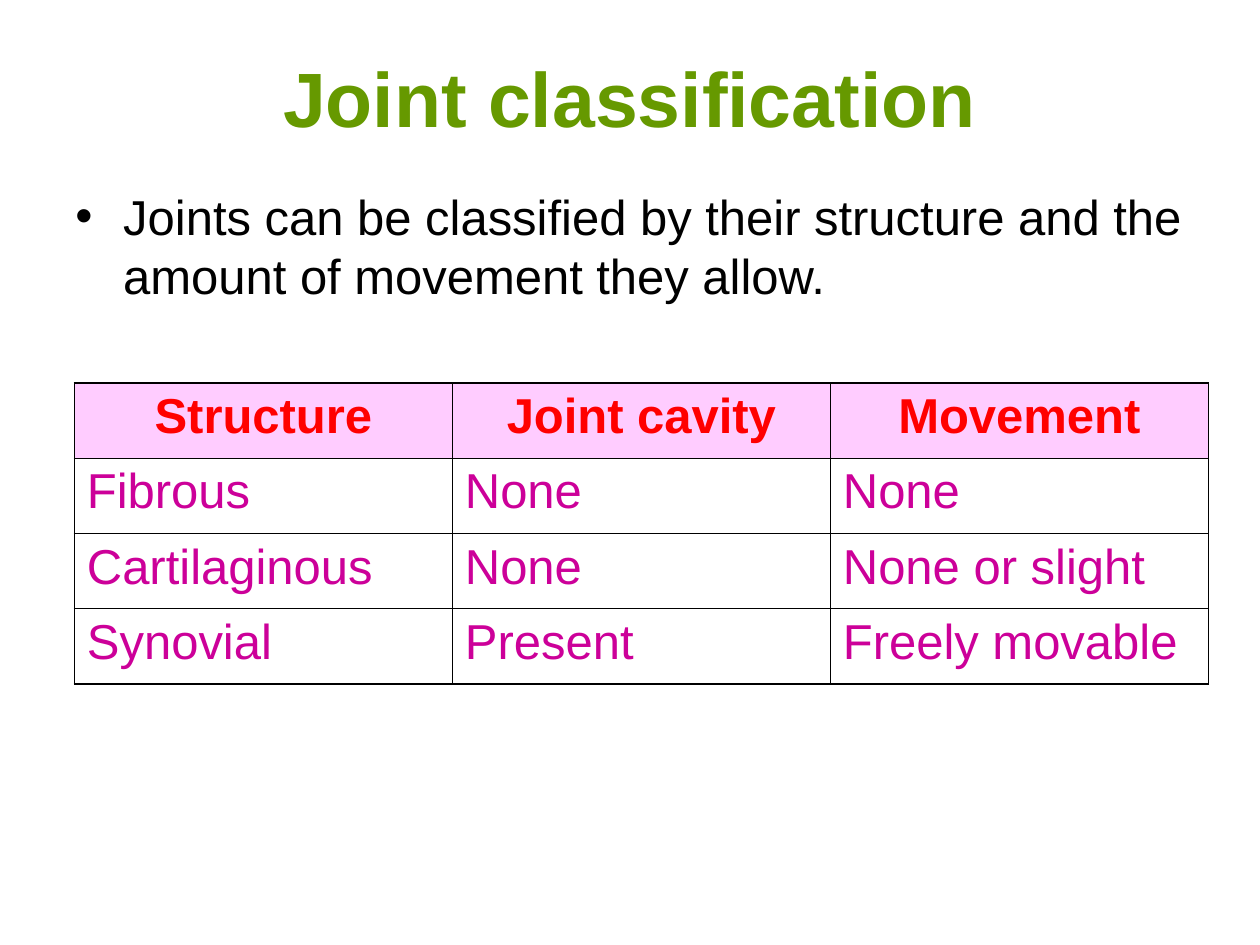
from dataclasses import dataclass

from lxml import etree
from pptx import Presentation
from pptx.dml.color import RGBColor
from pptx.enum.text import MSO_ANCHOR, PP_ALIGN
from pptx.oxml.ns import qn
from pptx.util import Inches, Pt

LEFT, CENTER = PP_ALIGN.LEFT, PP_ALIGN.CENTER
TOP, MIDDLE = MSO_ANCHOR.TOP, MSO_ANCHOR.MIDDLE


@dataclass(frozen=True)
class Theme:
    face: str = "Arial"
    green: str = "669900"
    black: str = "000000"
    red: str = "FF0000"
    pink: str = "FFCCFF"
    plum: str = "CC0099"
    large: int = 44
    body: int = 28
    thin: float = 0.45
    thick: float = 1.08


class Page:
    """Holds the theme and the slide being built."""

    def __init__(self, slide, theme):
        self.slide, self.theme = slide, theme

    def style(self, para, size, color, bold=False, align=LEFT):
        para.alignment = align
        font = para.font
        font.name, font.size, font.bold = self.theme.face, Pt(size), bold
        font.color.rgb = RGBColor.from_string(color)

    def title(self, text, left, top, width, height):
        shape = self.slide.shapes.title
        shape.left, shape.top = Inches(left), Inches(top)
        shape.width, shape.height = Inches(width), Inches(height)
        frame = shape.text_frame
        frame.text, frame.vertical_anchor = text, MIDDLE
        self.style(frame.paragraphs[0], self.theme.large, self.theme.green, True, CENTER)

    def bullet(self, text, left, top, width, height, indent):
        box = self.slide.shapes.add_textbox(
            Inches(left), Inches(top), Inches(width), Inches(height))
        frame = box.text_frame
        frame.word_wrap, frame.vertical_anchor = True, TOP
        frame.text = text
        para = frame.paragraphs[0]
        props = para._p.get_or_add_pPr()
        props.set("marL", str(Inches(indent)))
        props.set("indent", str(-Inches(indent)))
        etree.SubElement(props, qn("a:buFont"), typeface=self.theme.face)
        etree.SubElement(props, qn("a:buChar"), char="•")
        self.style(para, self.theme.body, self.theme.black)

    def border(self, cell, edges):
        """Draw the cell's sides; edges tells which lie on the table's rim."""
        props = cell._tc.get_or_add_tcPr()
        for spot, (side, outer) in enumerate(edges.items()):
            width = self.theme.thick if outer else self.theme.thin
            line = etree.Element(qn(f"a:ln{side}"), w=str(Pt(width)))
            fill = etree.SubElement(line, qn("a:solidFill"))
            etree.SubElement(fill, qn("a:srgbClr"), val=self.theme.black)
            props.insert(spot, line)

    def table(self, rows, left, top, width, height):
        theme = self.theme
        last, end = len(rows) - 1, len(rows[0]) - 1
        grid = self.slide.shapes.add_table(
            last + 1, end + 1, Inches(left), Inches(top),
            Inches(width), Inches(height)).table
        grid.horz_banding = False
        for i, row in enumerate(rows):
            head = i == 0
            for j, text in enumerate(row):
                cell = grid.cell(i, j)
                cell.text = text
                if head:
                    cell.fill.solid()
                    cell.fill.fore_color.rgb = RGBColor.from_string(theme.pink)
                else:
                    cell.fill.background()
                self.style(cell.text_frame.paragraphs[0], theme.body,
                           theme.red if head else theme.plum, head,
                           CENTER if head else LEFT)
                self.border(cell, {"L": j == 0, "R": j == end,
                                   "T": head, "B": i == last})


def main():
    deck = Presentation()
    deck.slide_width, deck.slide_height = Inches(10), Inches(7.5)
    page = Page(deck.slides.add_slide(deck.slide_layouts[5]), Theme())
    page.title("Joint classification", 0.5, 0.3, 9, 0.93)
    page.bullet("Joints can be classified by their structure and the "
                "amount of movement they allow.", 0.5, 1.43, 9, 1.09, 0.38)
    page.table([
        ("Structure", "Joint cavity", "Movement"),
        ("Fibrous", "None", "None"),
        ("Cartilaginous", "None", "None or slight"),
        ("Synovial", "Present", "Freely movable"),
    ], 0.59, 3.04, 9, 2.39)
    deck.save("out.pptx")


if __name__ == "__main__":
    main()
